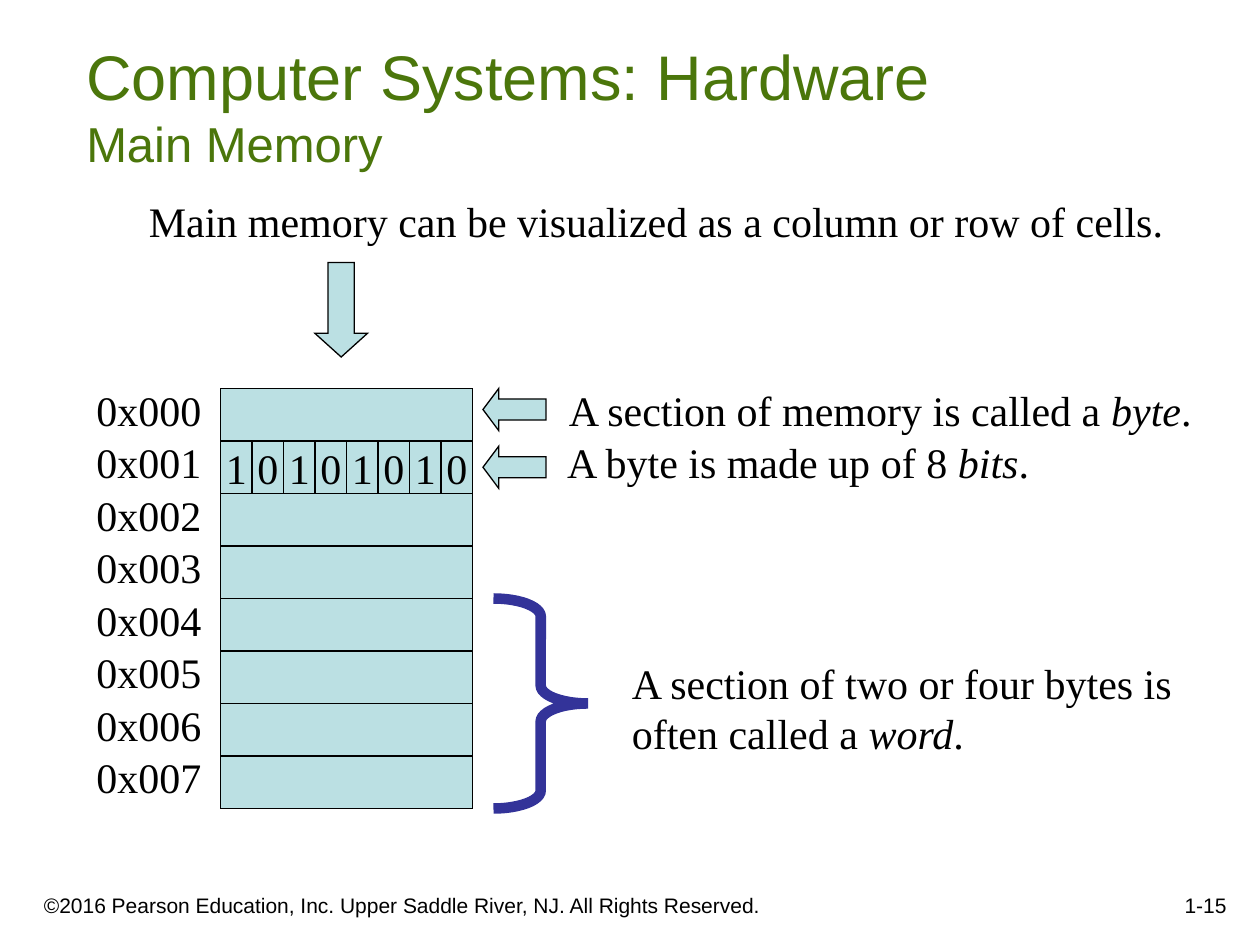
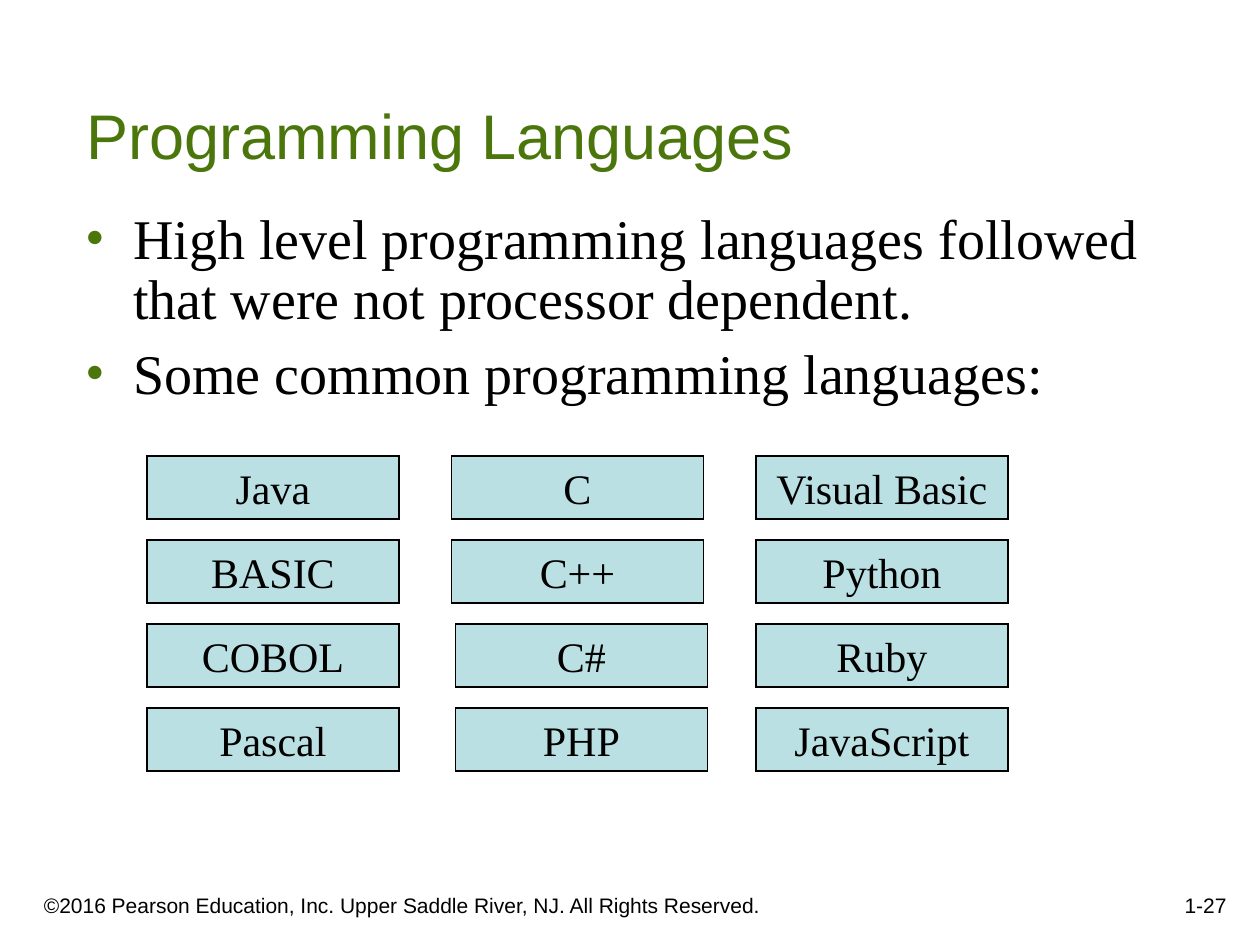
from pptx import Presentation
from pptx.dml.color import RGBColor
from pptx.enum import shapes, text
from pptx.oxml import parse_xml
from pptx.oxml.ns import nsdecls
from pptx.util import Pt

# Shared look
GREEN, BLACK, CELL_BLUE, BRACE_BLUE = "4B760B", "000000", "BBE0E3", "333399"
SANS, SERIF = "Arial", "Times New Roman"
COPYRIGHT = "©2016 Pearson Education, Inc. Upper Saddle River, NJ. All Rights Reserved."
LEFT, CENTER, RIGHT = text.PP_ALIGN.LEFT, text.PP_ALIGN.CENTER, text.PP_ALIGN.RIGHT
TOP, MIDDLE, BOTTOM = text.MSO_ANCHOR.TOP, text.MSO_ANCHOR.MIDDLE, text.MSO_ANCHOR.BOTTOM
PRESET = shapes.MSO_SHAPE


def write(shape, runs, size=24, font=SERIF, color=BLACK, align=LEFT, anchor=TOP, wrap=True):
    """Fill the last paragraph with runs; a run marked with * is italic."""
    frame = shape.text_frame
    frame.word_wrap = wrap
    frame.vertical_anchor = anchor
    paragraph = frame.paragraphs[-1]
    paragraph.alignment = align
    for content in runs:
        run = paragraph.add_run()
        run.text = content.strip("*")
        run.font.italic = content.startswith("*")
        run.font.size = Pt(size)
        run.font.name = font
        run.font.color.rgb = RGBColor.from_string(color)
    return paragraph


def draw(slide, preset, left, top, width, height, adjustments=(), fill=CELL_BLUE, line=BLACK, weight=0.75):
    shape = slide.shapes.add_shape(preset, Pt(left), Pt(top), Pt(width), Pt(height))
    shape.shadow.inherit = False
    if fill:
        shape.fill.solid()
        shape.fill.fore_color.rgb = RGBColor.from_string(fill)
    else:
        shape.fill.background()
    shape.line.color.rgb = RGBColor.from_string(line)
    shape.line.width = Pt(weight)
    shape.line._get_or_add_ln().append(parse_xml(f'<a:miter {nsdecls("a")} lim="800000"/>'))
    for index, value in enumerate(adjustments):
        shape.adjustments[index] = value
    return shape


presentation = Presentation()
presentation.slide_width, presentation.slide_height = Pt(720), Pt(540)

# Title and footer of each slide
slides = []
for title, subtitle, number in [
    ("Computer Systems: Hardware", "Main Memory", "1-15"),
    ("Programming Languages", None, "1-27"),
]:
    slide = presentation.slides.add_slide(presentation.slide_layouts[6])
    slides.append(slide)
    box = slide.shapes.add_textbox(Pt(18), Pt(498), Pt(438), Pt(30))
    write(box, [COPYRIGHT], 12, SANS, anchor=BOTTOM)
    box = slide.shapes.add_textbox(Pt(558), Pt(492), Pt(150), Pt(36))
    write(box, [number], 12, SANS, align=RIGHT, anchor=BOTTOM)
    box = slide.shapes.add_textbox(Pt(42.25), Pt(24), Pt(677.75), Pt(78))
    paragraph = write(box, [title], 36, SANS, GREEN, anchor=BOTTOM)
    if subtitle:
        paragraph.add_line_break()
        write(box, [subtitle], 28, SANS, GREEN, anchor=BOTTOM)
memory_slide, language_slide = slides

# Memory column with addresses
row_height, column_left, column_top, column_width = 30, 126, 222, 144
for row in range(8):
    top = column_top + row * row_height
    draw(memory_slide, PRESET.RECTANGLE, column_left, top, column_width, row_height)
    label = memory_slide.shapes.add_textbox(Pt(48), Pt(top - 6), Pt(76), Pt(36))
    write(label, [f"0x{row:03}"], wrap=False)

# Bits of the second byte
bit_width = column_width / 8
for index, bit in enumerate("10101010"):
    cell = draw(memory_slide, PRESET.RECTANGLE, column_left + index * bit_width,
                column_top + row_height, bit_width, row_height)
    write(cell, [bit], align=CENTER, anchor=MIDDLE, wrap=False)

# Arrows and the brace around a word
draw(memory_slide, PRESET.DOWN_ARROW, 180, 150, 30, 54, (0.5, 0.45))
for top in (222, 255):
    draw(memory_slide, PRESET.LEFT_ARROW, 276, top, 36, 24, (0.5, 0.375))
draw(memory_slide, PRESET.RIGHT_BRACE, 282, 342, 54, 120, (0.19, 0.5),
     fill=None, line=BRACE_BLUE, weight=6)

# Explanations
for left, top, width, height, wrap, runs in [
    (78, 108, 595, 36, False, ["Main memory can be visualized as a column or row of cells."]),
    (318, 216, 372, 36, False, ["A section of memory is called a ", "*byte", "."]),
    (317, 246, 279, 36, False, ["A byte is made up of 8 ", "*bits", "."]),
    (354, 372, 343.5, 65, True, ["A section of two or four bytes is often called a ", "*word", "."]),
]:
    box = memory_slide.shapes.add_textbox(Pt(left), Pt(top), Pt(width), Pt(height))
    write(box, runs, wrap=wrap)

# Bullets on programming languages
body = language_slide.shapes.add_textbox(Pt(42), Pt(117), Pt(653), Pt(360))
body.text_frame.margin_right = 0
for index, bullet in enumerate([
    "High level programming languages followed that were not processor dependent.",
    "Some common programming languages:",
]):
    if index:
        body.text_frame.add_paragraph()
    paragraph = write(body, [bullet], 32)
    paragraph.line_spacing = 0.9
    if index:
        paragraph.space_before = Pt(8)
    properties = paragraph._p.get_or_add_pPr()
    properties.set("marL", str(Pt(27)))
    properties.set("indent", str(-Pt(27)))
    for bullet_part in (
        f'<a:buClr {nsdecls("a")}><a:srgbClr val="{GREEN}"/></a:buClr>',
        f'<a:buFont {nsdecls("a")} typeface="{SERIF}"/>',
        f'<a:buChar {nsdecls("a")} char="•"/>',
    ):
        properties.append(parse_xml(bullet_part))

# Grid of languages; the lower half of the middle column sits slightly right
for row, languages in enumerate([
    ("Java", "C", "Visual Basic"),
    ("BASIC", "C++", "Python"),
    ("COBOL", "C#", "Ruby"),
    ("Pascal", "PHP", "JavaScript"),
]):
    for column, language in enumerate(languages):
        shift = 2.25 if column == 1 and row >= 2 else 0
        cell = draw(language_slide, PRESET.RECTANGLE, 84 + 174 * column + shift, 260.6 + 48 * row, 144, 36)
        write(cell, [language], align=CENTER)

presentation.save("out.pptx")
